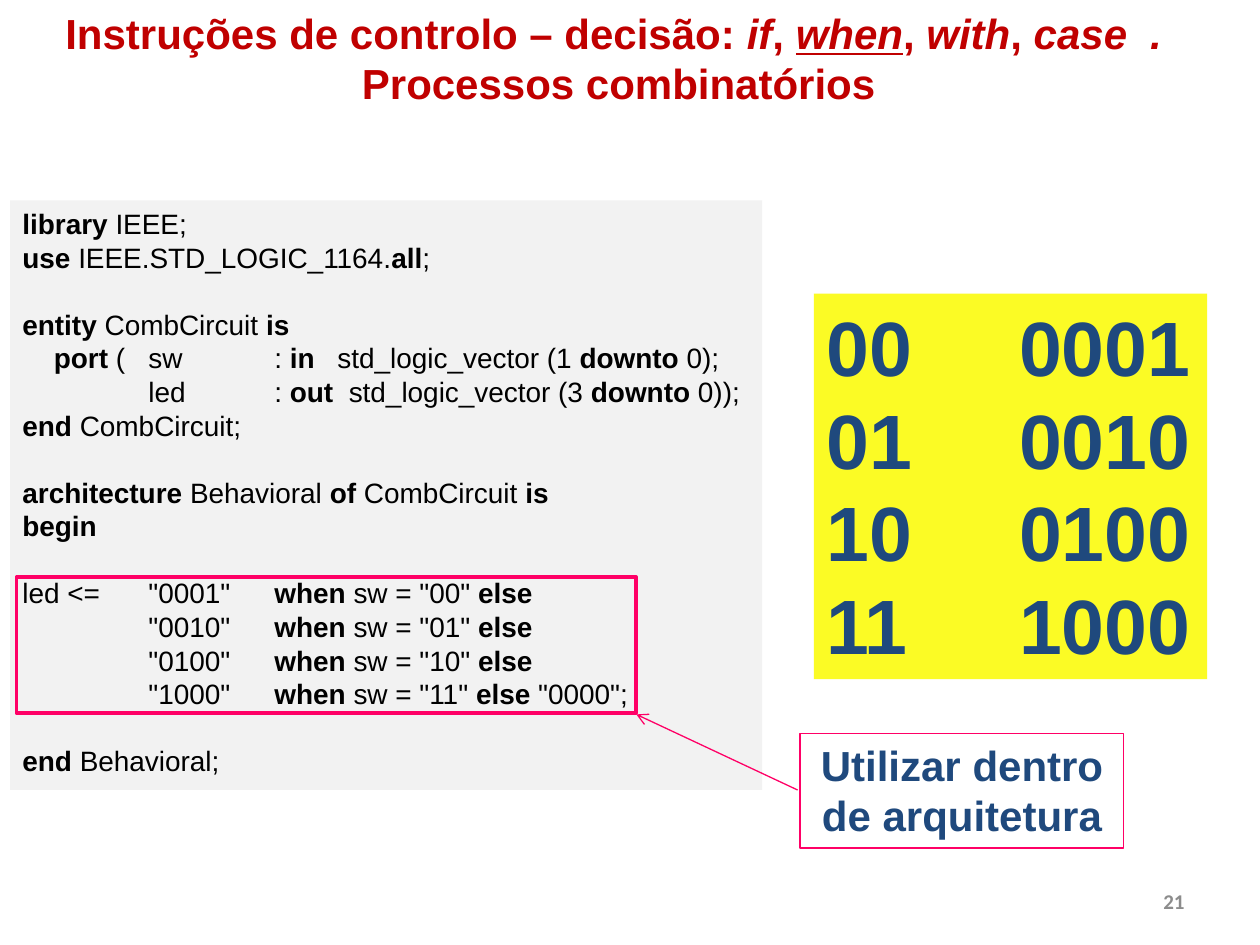
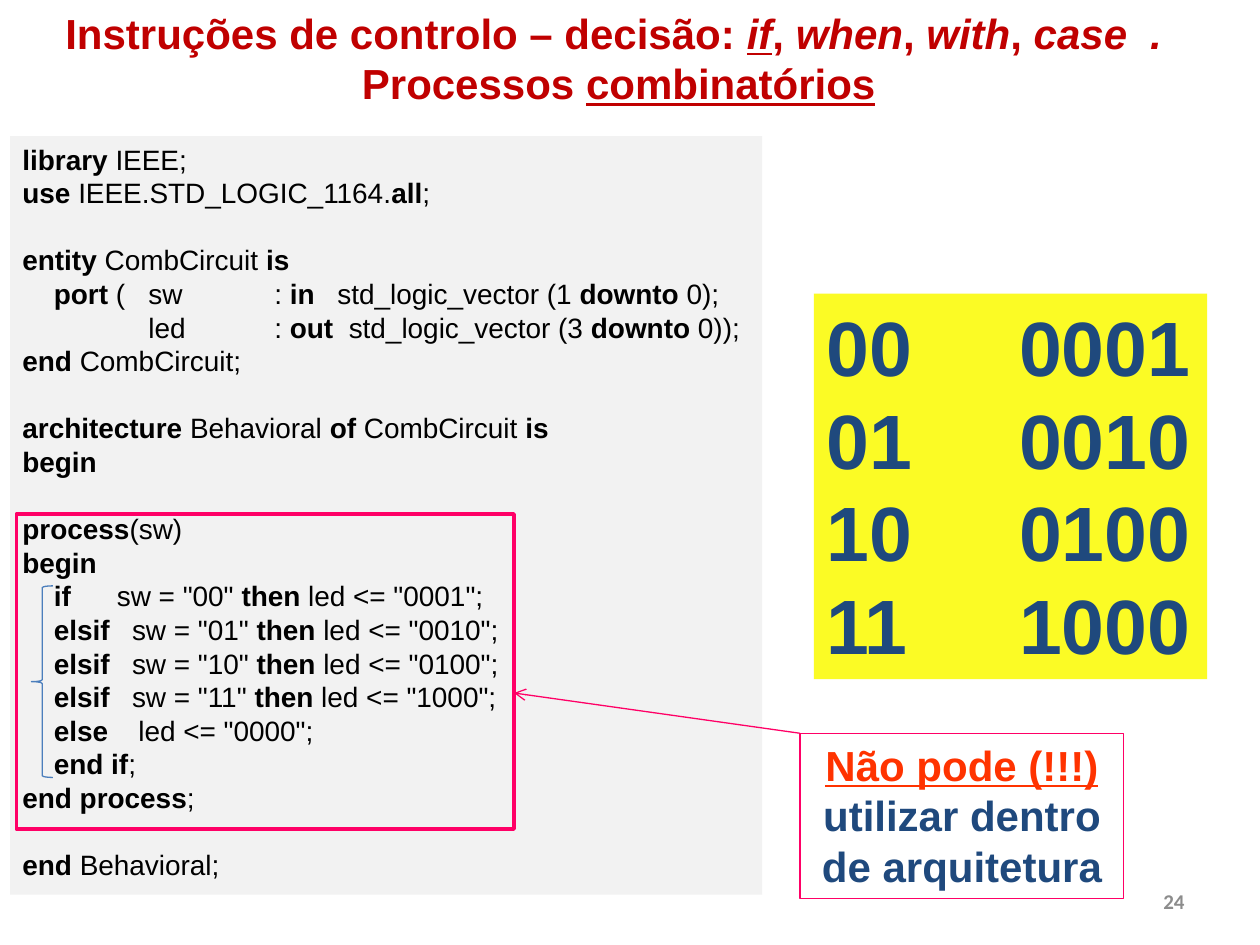
from lxml import etree
from pptx import Presentation
from pptx.dml.color import RGBColor
from pptx.enum.shapes import MSO_CONNECTOR, MSO_SHAPE
from pptx.enum.text import MSO_ANCHOR, PP_ALIGN
from pptx.oxml.ns import qn
from pptx.util import Inches, Pt

LEFT, CENTER, RIGHT = PP_ALIGN.LEFT, PP_ALIGN.CENTER, PP_ALIGN.RIGHT
TOP, MIDDLE = MSO_ANCHOR.TOP, MSO_ANCHOR.MIDDLE
RECTANGLE, BRACE = MSO_SHAPE.RECTANGLE, MSO_SHAPE.LEFT_BRACE
STRAIGHT = MSO_CONNECTOR.STRAIGHT

RED, BLUE, PINK, WARNING = "C00000", "1F497D", "FF0066", "FF3300"
BLACK, GREY, CODE_FILL, TABLE_FILL, BRACE_BLUE = "000000", "8C8C8C", "F2F2F2", "FBFB25", "4B7EBC"
LINE_FACTOR = 1.2

# MARKERS
BOLD, ITALIC, UNDERLINE, ACCENT = "*", "^", "~", "§"

TITLE_BOX = (0.42, 0.01, 8.98, 0.91)
NUMBER_BOX = (7.17, 6.95, 2.33, 0.4)
TRUTH_BOX = (6.46, 2.33, 3.12, 3.06)
CODE_LEFT, CODE_WIDTH = 0.08, 5.97
CALLOUT_LEFT, CALLOUT_TOP, CALLOUT_WIDTH = 6.35, 5.82, 2.57
FRAME_LEFT = 0.13

TRUTH_ROWS = [("00", "0001"), ("01", "0010"), ("10", "0100"), ("11", "1000")]

DECLARATIONS = [
    ["*library* IEEE;", "*use* IEEE.STD_LOGIC_1164.*all*;"],
    ["*entity* CombCircuit *is*",
     ("\t*port* (\tsw\t: *in*\tstd_logic_vector (1 *downto* 0);", (0.25, 1, 2, 2.5)),
     ("\tled\t: *out*\tstd_logic_vector (3 *downto* 0));", (1, 2, 2.59)),
     "*end* CombCircuit;"],
    ["*architecture* Behavioral *of* CombCircuit *is*", "*begin*"],
]
ENDING = [["*end* Behavioral;"]]

WHEN_BODY = [
    ('led <=\t"0001"\t*when* sw = "00" *else*', (1, 2)),
    ('\t"0010"\t*when* sw = "01" *else*', (1, 2)),
    ('\t"0100"\t*when* sw = "10" *else*', (1, 2)),
    ('\t"1000"\t*when* sw = "11" *else* "0000";', (1, 2)),
]
IF_BODY = [
    "*process*(sw)",
    "*begin*",
    ('\t*if*\tsw = "00" *then* led <= "0001";', (0.25, 0.75)),
    ('\t*elsif*\tsw = "01" *then* led <= "0010";', (0.25, 0.87)),
    ('\t*elsif*\tsw = "10" *then* led <= "0100";', (0.25, 0.87)),
    ('\t*elsif*\tsw = "11" *then* led <= "1000";', (0.25, 0.87)),
    ('\t*else*\tled <= "0000";', (0.25, 0.92)),
    ("\t*end if*;", (0.25,)),
    "*end process*;",
]

SLIDES = [
    {"number": "21",
     "title": ["Instruções de controlo – decisão: ^if^, ^~when~^, ^with^, ^case\t.^",
               "Processos combinatórios"],
     "body": WHEN_BODY, "code_top": 1.59, "code_height": 4.68,
     "frame": (4.58, 4.92, 1.08), "arrow": ((6.33, 6.27), (5.05, 5.67)),
     "callout": "Utilizar dentro de arquitetura", "callout_height": 0.91},
    {"number": "24",
     "title": ["Instruções de controlo – decisão: ^~if~^, ^when^, ^with^, ^case\t.^",
               "Processos ~combinatórios~"],
     "body": IF_BODY, "code_top": 1.08, "code_height": 6.02,
     "frame": (4.08, 3.95, 2.5), "arrow": ((6.35, 5.82), (4.08, 5.5)),
     "callout": "§~Não pode (!!!)~§ utilizar dentro de arquitetura", "callout_height": 1.31,
     "brace": (0.25, 4.65, 0.17, 1.52)},
]


def color(hex_text):
    return RGBColor.from_string(hex_text)


def inches(values):
    return [Inches(value) for value in values]


def split_runs(text):
    active, buffer = set(), ""
    for character in text:
        if character in (BOLD, ITALIC, UNDERLINE, ACCENT):
            if buffer:
                yield buffer, frozenset(active)
            active ^= {character}
            buffer = ""
        else:
            buffer += character
    if buffer:
        yield buffer, frozenset(active)


def set_tabs(paragraph, stops):
    tab_list = etree.SubElement(paragraph._p.get_or_add_pPr(), qn("a:tabLst"))
    for stop in stops:
        etree.SubElement(tab_list, qn("a:tab"), pos=str(Inches(stop)), algn="l")


def write_text(shape, blocks, *, size, fill, font="Arial", bold=True, aligns=(LEFT,), anchor=TOP):
    frame = shape.text_frame
    frame.word_wrap = True
    frame.vertical_anchor = anchor
    lines = [(line, block_index > 0 and line_index == 0)
             for block_index, block in enumerate(blocks)
             for line_index, line in enumerate(block)]
    for index, (line, after_gap) in enumerate(lines):
        text, stops = (line, ()) if isinstance(line, str) else line
        paragraph = frame.paragraphs[0] if index == 0 else frame.add_paragraph()
        paragraph.alignment = aligns[min(index, len(aligns) - 1)]
        paragraph.line_spacing = Pt(size * LINE_FACTOR)
        paragraph.space_before = Pt(size * LINE_FACTOR if after_gap else 0)
        if stops:
            set_tabs(paragraph, stops)
        for content, marks in split_runs(text):
            run = paragraph.add_run()
            run.text = content
            run.font.name = font
            run.font.size = Pt(size)
            run.font.bold = bold or BOLD in marks
            run.font.italic = ITALIC in marks
            run.font.underline = UNDERLINE in marks
            run.font.color.rgb = color(WARNING if ACCENT in marks else fill)


def add_box(slide, bounds, kind=RECTANGLE, fill=None, line=None, width=0.75):
    shape = slide.shapes.add_shape(kind, *inches(bounds))
    shape.shadow.inherit = False
    if fill:
        shape.fill.solid()
        shape.fill.fore_color.rgb = color(fill)
    else:
        shape.fill.background()
    if line:
        shape.line.color.rgb = color(line)
        shape.line.width = Pt(width)
    else:
        shape.line.fill.background()
    return shape


def add_arrow(slide, start, end):
    connector = slide.shapes.add_connector(STRAIGHT, *inches(start + end))
    connector.line.color.rgb = color(PINK)
    connector.line.width = Pt(0.75)
    etree.SubElement(connector.line._get_or_add_ln(), qn("a:tailEnd"), type="arrow")
    etree.SubElement(connector._element.spPr, qn("a:effectLst"))


def build_slide(presentation, content):
    slide = presentation.slides.add_slide(presentation.slide_layouts[6])

    number = slide.shapes.add_textbox(*inches(NUMBER_BOX))
    write_text(number, [[content["number"]]], size=12, fill=GREY, font="Calibri",
               aligns=(RIGHT,), anchor=MIDDLE)

    title = slide.shapes.add_textbox(*inches(TITLE_BOX))
    first, second = content["title"]
    write_text(title, [[(first, (8.61,)), second]], size=24, fill=RED, aligns=(LEFT, CENTER))

    code = add_box(slide, (CODE_LEFT, content["code_top"], CODE_WIDTH, content["code_height"]),
                   fill=CODE_FILL)
    write_text(code, DECLARATIONS + [content["body"]] + ENDING, size=16, fill=BLACK, bold=False)

    truth = add_box(slide, TRUTH_BOX, fill=TABLE_FILL)
    rows = [("\t".join(row), (1.53,)) for row in TRUTH_ROWS]
    write_text(truth, [rows], size=44, fill=BLUE)

    frame_top, frame_width, frame_height = content["frame"]
    add_box(slide, (FRAME_LEFT, frame_top, frame_width, frame_height), line=PINK, width=2)
    add_arrow(slide, *content["arrow"])

    callout = add_box(slide, (CALLOUT_LEFT, CALLOUT_TOP, CALLOUT_WIDTH, content["callout_height"]),
                      line=PINK)
    write_text(callout, [[content["callout"]]], size=24, fill=BLUE, aligns=(CENTER,))

    if "brace" in content:
        add_box(slide, content["brace"], kind=BRACE, line=BRACE_BLUE)


def main():
    presentation = Presentation()
    presentation.slide_width, presentation.slide_height = inches((10, 7.5))
    for content in SLIDES:
        build_slide(presentation, content)
    presentation.save("out.pptx")


if __name__ == "__main__":
    main()
